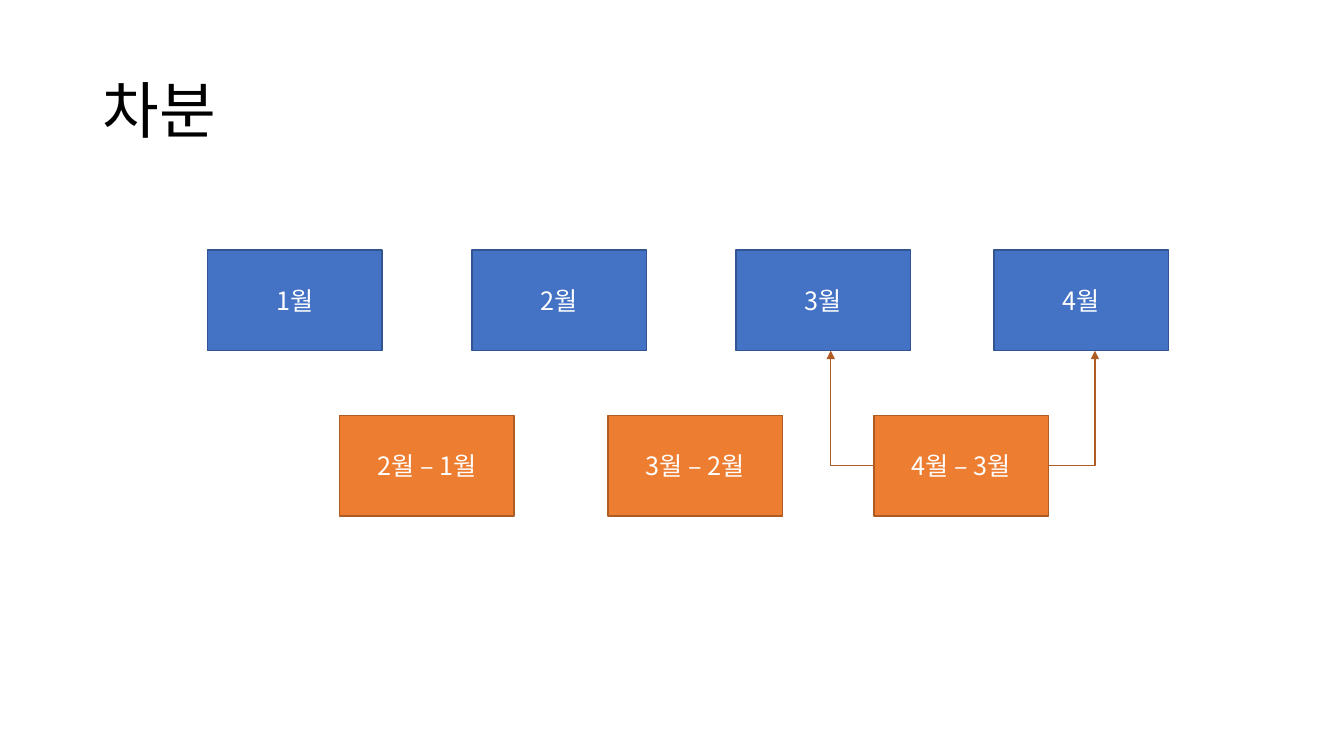
from pptx import Presentation
from pptx.dml.color import RGBColor
from pptx.enum.shapes import MSO_CONNECTOR, MSO_SHAPE
from pptx.enum.text import MSO_ANCHOR, MSO_AUTO_SIZE, PP_ALIGN
from pptx.oxml.ns import qn
from pptx.util import Inches, Pt
from lxml import etree

ELBOW = MSO_CONNECTOR.ELBOW
RECTANGLE = MSO_SHAPE.RECTANGLE
MIDDLE = MSO_ANCHOR.MIDDLE
NO_FIT = MSO_AUTO_SIZE.NONE
LEFT, CENTER = PP_ALIGN.LEFT, PP_ALIGN.CENTER

FONT = "Noto Sans CJK KR"
BLACK = RGBColor(0x00, 0x00, 0x00)
WHITE = RGBColor(0xFF, 0xFF, 0xFF)
BLUE = RGBColor(0x44, 0x72, 0xC4)
DARK_BLUE = RGBColor(0x32, 0x54, 0x91)
ORANGE = RGBColor(0xED, 0x7D, 0x31)
DARK_ORANGE = RGBColor(0xAF, 0x5C, 0x24)

BOX_WIDTH, BOX_HEIGHT = 1.73, 1
MONTH_TOP, DIFFERENCE_TOP = 2.48, 4.12
MONTHS = [("1월", 2.06), ("2월", 4.68), ("3월", 7.3), ("4월", 9.86)]
DIFFERENCES = [("2월 – 1월", 3.37), ("3월 – 2월", 6.03), ("4월 – 3월", 8.67)]


def write_text(frame, text, size=18, color=WHITE, align=CENTER, spacing=None):
    frame.word_wrap = True
    frame.auto_size = NO_FIT
    frame.vertical_anchor = MIDDLE
    para = frame.paragraphs[0]
    para.alignment = align
    para.line_spacing = spacing
    span = para.add_run()
    span.text = text
    span.font.size = Pt(size)
    span.font.name = FONT
    span.font.color.rgb = color
    # Korean letters take the East Asian typeface
    east_asian = etree.SubElement(span.font._element, qn("a:ea"))
    east_asian.set("typeface", FONT)


def add_title(page, text, left, top, width, height):
    title = page.shapes.title
    title.left, title.top = Inches(left), Inches(top)
    title.width, title.height = Inches(width), Inches(height)
    write_text(title.text_frame, text, size=44, color=BLACK, align=LEFT, spacing=0.9)


def add_box_row(page, labels, top, fill, outline):
    for text, left in labels:
        box = page.shapes.add_shape(RECTANGLE, Inches(left), Inches(top),
                                    Inches(BOX_WIDTH), Inches(BOX_HEIGHT))
        box.shadow.inherit = False
        box.fill.solid()
        box.fill.fore_color.rgb = fill
        box.line.color.rgb = outline
        box.line.width = Pt(1)
        write_text(box.text_frame, text)


def add_bent_arrow(page, start, end):
    """Run sideways from start, then turn once towards end."""
    arrow = page.shapes.add_connector(ELBOW, *map(Inches, start + end))
    arrow.line.color.rgb = DARK_ORANGE
    arrow.line.width = Pt(1)
    properties = arrow._element.spPr
    properties.find(qn("a:prstGeom")).set("prst", "bentConnector2")
    etree.SubElement(arrow.get_or_add_ln(), qn("a:tailEnd")).set("type", "triangle")
    etree.SubElement(properties, qn("a:effectLst"))


def add_difference_arrows(page, box_left):
    """Link the last difference to the two months it compares."""
    middle = DIFFERENCE_TOP + BOX_HEIGHT / 2
    month_bottom = MONTH_TOP + BOX_HEIGHT
    box_right = box_left + BOX_WIDTH
    add_bent_arrow(page, (box_left, middle), (8.24, month_bottom))
    add_bent_arrow(page, (box_right, middle), (10.86, month_bottom))


def main():
    deck = Presentation()
    deck.slide_width, deck.slide_height = Inches(13.33), Inches(7.5)
    page = deck.slides.add_slide(deck.slide_layouts.get_by_name("Title Only"))

    # Title
    add_title(page, "차분", 0.92, 0.4, 11.5, 1.45)
    # Months, and the differences between neighbours
    add_box_row(page, MONTHS, MONTH_TOP, BLUE, DARK_BLUE)
    add_box_row(page, DIFFERENCES, DIFFERENCE_TOP, ORANGE, DARK_ORANGE)
    # Arrows
    add_difference_arrows(page, DIFFERENCES[-1][1])

    deck.save("out.pptx")


if __name__ == "__main__":
    main()
